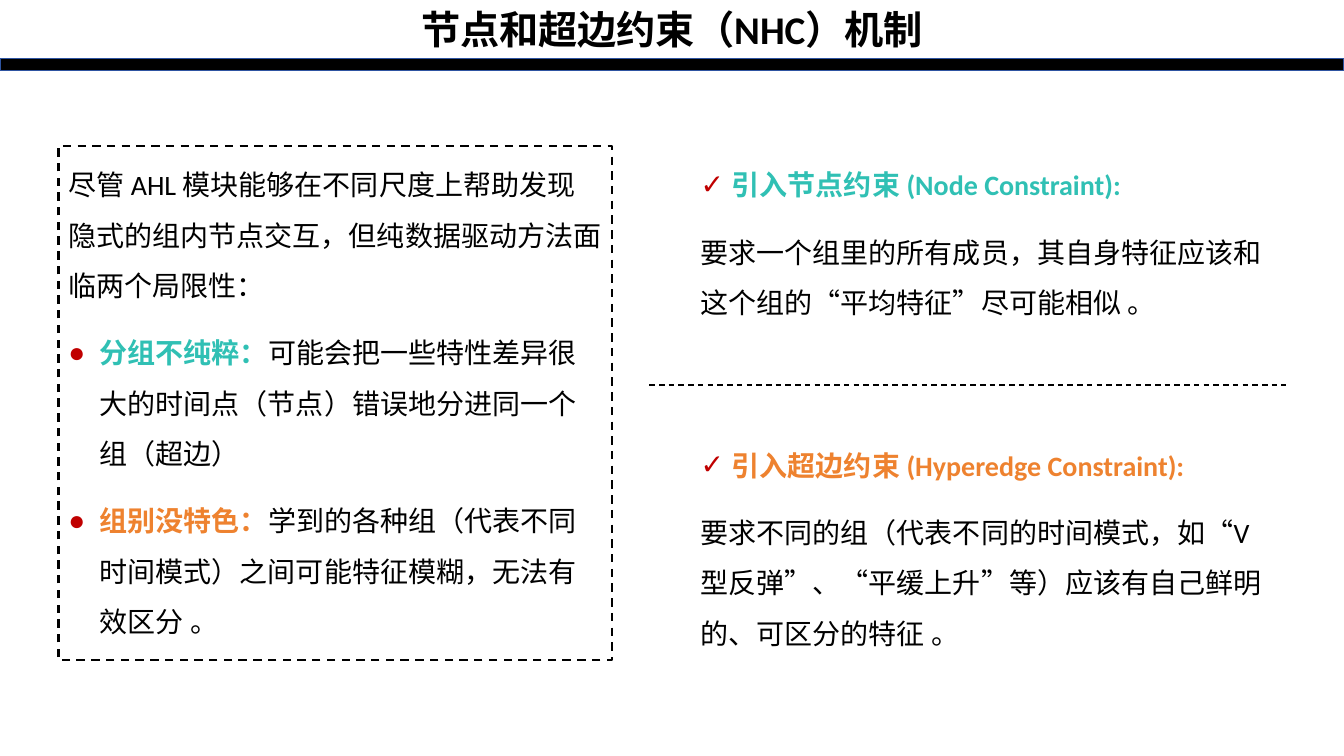
import pptx
import pptx.util
import pptx.dml.color
import pptx.enum.dml
import pptx.enum.shapes
import pptx.enum.text
import lxml.etree
from pptx.util import Inches

RGB = pptx.dml.color.RGBColor
BLACK = RGB(0x00, 0x00, 0x00)
BLUE = RGB(0x2E, 0x54, 0xA1)
TEAL = RGB(0x30, 0xC0, 0xB4)
ORANGE = RGB(0xEE, 0x82, 0x2F)
RED = RGB(0xC0, 0x00, 0x00)
DASH = pptx.enum.dml.MSO_LINE.DASH
RECT = pptx.enum.shapes.MSO_SHAPE.RECTANGLE
LEFT = pptx.enum.text.PP_ALIGN.LEFT
CENTER = pptx.enum.text.PP_ALIGN.CENTER


def add_mark(para, mark):
    """Give a paragraph a red bullet and a hanging indent."""
    props = para._p.get_or_add_pPr()
    props.set("marL", str(Inches(0.31)))
    props.set("indent", str(-Inches(0.31)))
    tint = pptx.oxml.xmlchemy.OxmlElement("a:buClr")
    lxml.etree.SubElement(tint, pptx.oxml.ns.qn("a:srgbClr"), val=str(RED))
    face = pptx.oxml.xmlchemy.OxmlElement("a:buFont")
    face.set("typeface", "Arial")
    sign = pptx.oxml.xmlchemy.OxmlElement("a:buChar")
    sign.set("char", mark)
    props.extend([tint, face, sign])


def fill_text(shape, paras):
    """Write paragraphs given as (bullet, [(text, colour, bold), ...])."""
    frame = shape.text_frame
    frame.word_wrap = True
    frame.vertical_anchor = pptx.enum.text.MSO_ANCHOR.TOP
    for i, (mark, runs) in enumerate(paras):
        para = frame.paragraphs[0] if i == 0 else frame.add_paragraph()
        para.alignment = LEFT
        para.line_spacing = 1.5
        para.space_after = pptx.util.Pt(12)
        if mark:
            add_mark(para, mark)
        para.font.name = "Calibri"
        para.font.size = pptx.util.Pt(20)
        for text, color, bold in runs:
            run = para.add_run()
            run.text = text
            run.font.bold = bold
            run.font.color.rgb = color


deck = pptx.Presentation()
deck.slide_width = Inches(13.33)
deck.slide_height = Inches(7.5)
slide = deck.slides.add_slide(deck.slide_layouts[6])
shapes = slide.shapes

# Bar under the title
bar = shapes.add_shape(RECT, 0, Inches(0.58), Inches(13.33), Inches(0.12))
bar.shadow.inherit = False
bar.fill.solid()
bar.fill.fore_color.rgb = BLACK
bar.line.color.rgb = BLUE
bar.line.width = pptx.util.Pt(1)

# Title
title = shapes.add_textbox(0, 0, Inches(13.33), Inches(0.58))
title.text_frame.word_wrap = True
title.text_frame.vertical_anchor = pptx.enum.text.MSO_ANCHOR.MIDDLE
head = title.text_frame.paragraphs[0]
head.text = "节点和超边约束（NHC）机制"
head.alignment = CENTER
head.font.name = "Calibri"
head.font.size = pptx.util.Pt(28)
head.font.bold = True
head.font.color.rgb = BLACK

# Limits of the data-driven method
limits = shapes.add_shape(RECT, Inches(0.58), Inches(1.45), Inches(5.49), Inches(5.1))
limits.shadow.inherit = False
limits.fill.background()
limits.line.color.rgb = BLACK
limits.line.width = pptx.util.Pt(1.5)
limits.line.dash_style = DASH
fill_text(limits, [
    (None, [("尽管 AHL 模块能够在不同尺度上帮助发现隐式的组内节点交互，但纯数据驱动方法面临两个局限性：", BLACK, False)]),
    ("●", [("分组不纯粹：", TEAL, True),
           ("可能会把一些特性差异很大的时间点（节点）错误地分进同一个组（超边）", BLACK, False)]),
    ("●", [("组别没特色：", ORANGE, True),
           ("学到的各种组（代表不同时间模式）之间可能特征模糊，无法有效区分 。", BLACK, False)]),
])

# The two constraints
rules = [
    (1.45, 1.73, TEAL, "引入节点约束 (Node Constraint):",
     "要求一个组里的所有成员，其自身特征应该和这个组的“平均特征”尽可能相似 。"),
    (4.23, 2.32, ORANGE, "引入超边约束 (Hyperedge Constraint):",
     "要求不同的组（代表不同的时间模式，如“V型反弹”、“平缓上升”等）应该有自己鲜明的、可区分的特征 。"),
]
for top, height, color, name, body in rules:
    box = shapes.add_textbox(Inches(6.85), Inches(top), Inches(5.9), Inches(height))
    fill_text(box, [("✓", [(name, color, True)]), (None, [(body, BLACK, False)])])

# Divider between the constraints
rule = shapes.add_connector(pptx.enum.shapes.MSO_CONNECTOR.STRAIGHT,
                            Inches(6.44), Inches(3.82), Inches(12.75), Inches(3.82))
rule.line.color.rgb = BLACK
rule.line.width = pptx.util.Pt(1)
rule.line.dash_style = DASH
lxml.etree.SubElement(rule._element.spPr, pptx.oxml.ns.qn("a:effectLst"))

deck.save("out.pptx")
